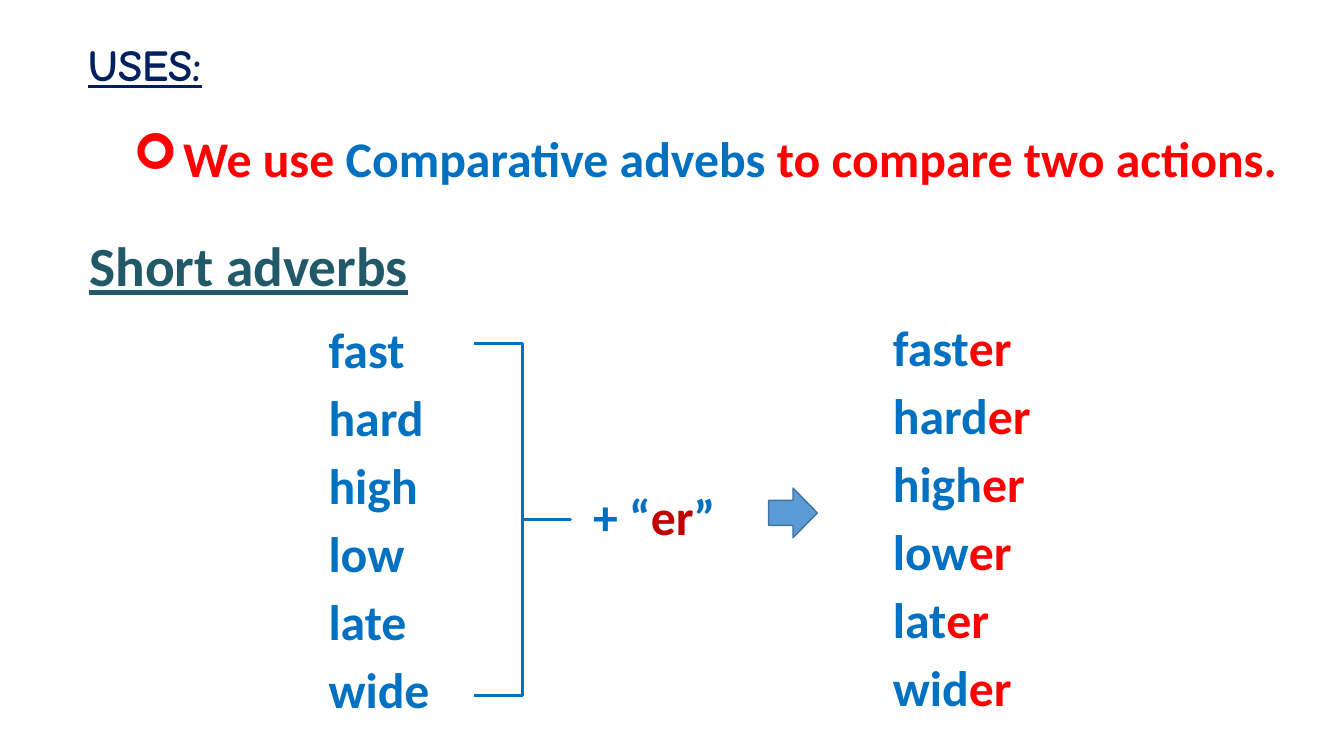
from dataclasses import dataclass

from lxml import etree
from pptx import Presentation
from pptx.dml.color import RGBColor
from pptx.enum.shapes import MSO_SHAPE
from pptx.enum.text import MSO_ANCHOR, MSO_AUTO_SIZE, PP_ALIGN
from pptx.oxml.ns import qn
from pptx.util import Inches, Pt

BRACE, ARROW = MSO_SHAPE.RIGHT_BRACE, MSO_SHAPE.RIGHT_ARROW
TOP, MIDDLE = MSO_ANCHOR.TOP, MSO_ANCHOR.MIDDLE
LEFT = PP_ALIGN.LEFT
NO_FIT = MSO_AUTO_SIZE.NONE

NAVY = RGBColor(0x00, 0x20, 0x60)
RED = RGBColor(0xFF, 0x00, 0x00)
DARK_RED = RGBColor(0xC0, 0x00, 0x00)
BLUE = RGBColor(0x00, 0x70, 0xC0)
TEAL = RGBColor(0x21, 0x59, 0x68)
ARROW_FILL = RGBColor(0x5B, 0x9B, 0xD5)
ARROW_LINE = RGBColor(0x43, 0x73, 0x9E)

ADVERBS = ["fast", "hard", "high", "low", "late", "wide"]

Box = tuple[float, float, float, float]
Line = list[tuple[str, RGBColor]]


@dataclass
class Label:
    """A text block with its place and look."""
    box: Box
    lines: list[Line]
    size: int = 36
    font: str = "Calibri"
    underline: bool = False
    spacing: float = 1.0
    anchor: MSO_ANCHOR = TOP
    wrap: bool = True
    bullet: str = ""


def place(sp, box: Box) -> None:
    """Move and size a shape in inches."""
    sp.left, sp.top, sp.width, sp.height = map(Inches, box)


def set_bullet(p, bullet: str) -> None:
    """Give a paragraph a hanging bullet, or none."""
    indent = Inches(0.5) if bullet else 0
    pPr = p._p.get_or_add_pPr()
    pPr.set("marL", str(indent))
    pPr.set("indent", str(-indent))
    if bullet:
        etree.SubElement(pPr, qn("a:buFont"), typeface="Wingdings")
        etree.SubElement(pPr, qn("a:buChar"), char=bullet)
    else:
        etree.SubElement(pPr, qn("a:buNone"))


def write(sp, label: Label) -> None:
    """Place a text shape and fill it with coloured runs."""
    place(sp, label.box)
    tf = sp.text_frame
    tf.word_wrap = label.wrap
    tf.auto_size = NO_FIT
    tf.vertical_anchor = label.anchor
    for i, line in enumerate(label.lines):
        p = tf.add_paragraph() if i else tf.paragraphs[0]
        set_bullet(p, label.bullet)
        p.alignment = LEFT
        p.line_spacing = label.spacing
        p.space_before = Pt(6 if i else 0)
        for text, color in line:
            r = p.add_run()
            r.text = text
            r.font.name = label.font
            r.font.size = Pt(label.size)
            r.font.bold = True
            r.font.underline = label.underline
            r.font.color.rgb = color


def add_outline(s, kind: MSO_SHAPE, box: Box, color: RGBColor, width: float):
    """Add a preset shape with a plain outline."""
    sp = s.shapes.add_shape(kind, *map(Inches, box))
    sp.shadow.inherit = False
    sp.line.color.rgb = color
    sp.line.width = Pt(width)
    return sp


def main() -> None:
    """Build the slide on comparative adverbs."""
    prs = Presentation()
    prs.slide_width, prs.slide_height = Inches(13.5), Inches(7.5)
    s = prs.slides.add_slide(prs.slide_layouts[1])

    write(s.shapes.title, Label(
        (1.24, 0.96, 12.1, 1.25),
        [[("We use ", RED), ("Comparative advebs ", BLUE), ("to compare two actions.", RED)]],
        anchor=MIDDLE, bullet="➢"))
    write(s.placeholders[1], Label(
        (3.2, 3.15, 2.36, 4.12), [[(adverb, BLUE)] for adverb in ADVERBS]))

    comparatives = [[(adverb.removesuffix("e"), BLUE), ("er", RED)] for adverb in ADVERBS]
    labels = [
        Label((0.79, 0.32, 2.25, 0.64), [[("USES:", NAVY)]],
              size=32, font="Comic Neue", underline=True),
        Label((0.8, 2.35, 3.43, 0.71), [[("Short adverbs", TEAL)]],
              size=40, underline=True, spacing=0.9, wrap=False),
        Label((5.86, 4.9, 1.6, 0.83), [[("+ “", BLUE), ("er", DARK_RED), ("”", BLUE)]],
              spacing=0.9),
        Label((8.87, 3.13, 2.33, 4.16), comparatives),
    ]
    for label in labels:
        write(s.shapes.add_textbox(0, 0, 0, 0), label)

    brace = add_outline(s, BRACE, (4.76, 3.45, 0.97, 3.53), BLUE, 2.25)
    brace.adjustments[0], brace.adjustments[1] = 0, 0.5
    brace.fill.background()
    arrow = add_outline(s, ARROW, (7.72, 4.9, 0.49, 0.5), ARROW_LINE, 1)
    arrow.fill.solid()
    arrow.fill.fore_color.rgb = ARROW_FILL

    prs.save("out.pptx")


if __name__ == "__main__":
    main()
